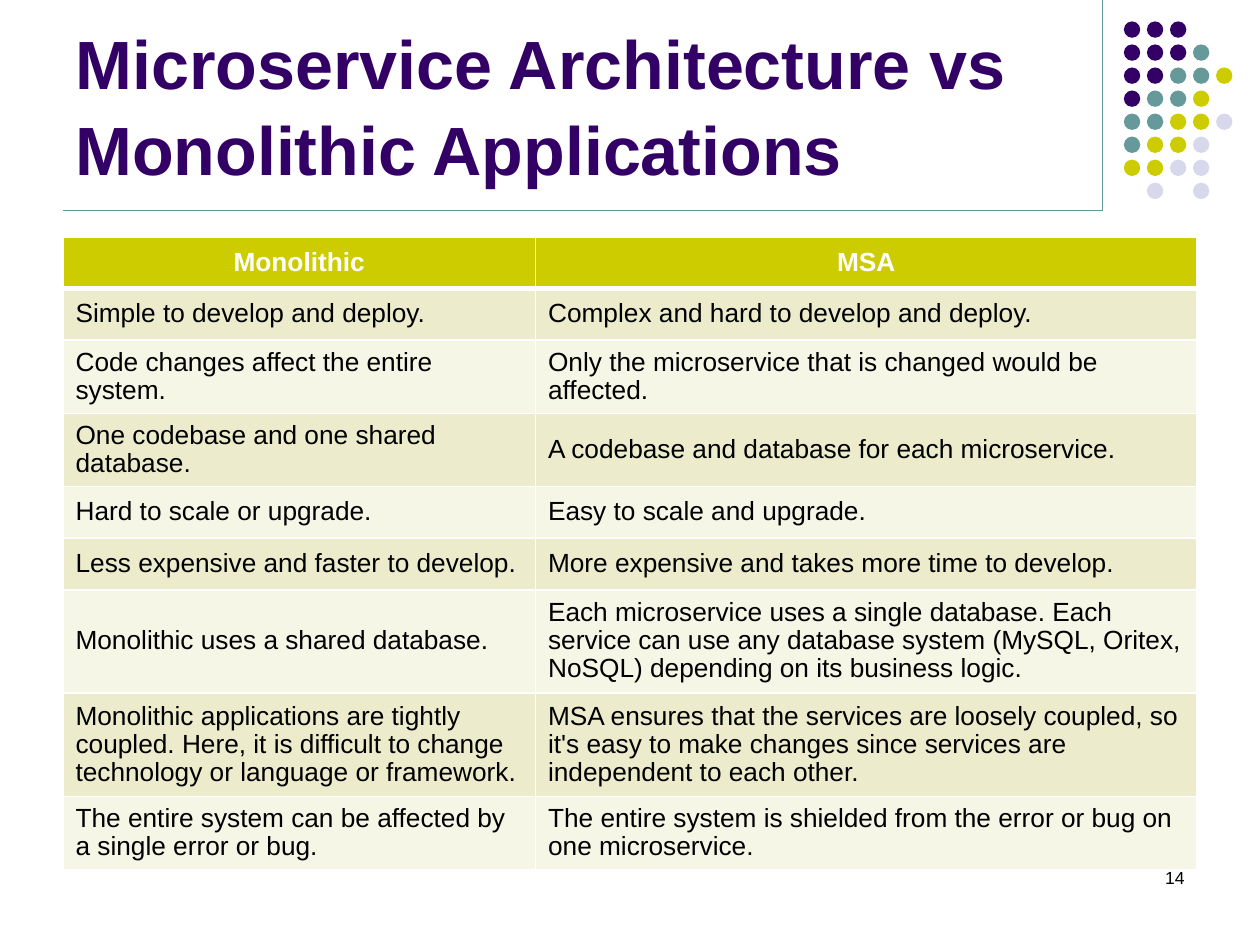
"""Build a slide comparing monolithic applications with microservice architecture."""
from dataclasses import dataclass

import pptx
import pptx.dml.color
import pptx.enum.shapes
import pptx.enum.text
import pptx.oxml.ns
import pptx.util
from lxml import etree

Inches = pptx.util.Inches
Pt = pptx.util.Pt
RGBColor = pptx.dml.color.RGBColor
PP_ALIGN = pptx.enum.text.PP_ALIGN
MSO_ANCHOR = pptx.enum.text.MSO_ANCHOR
qn = pptx.oxml.ns.qn

PURPLE = RGBColor(0x33, 0x00, 0x66)
TEAL = RGBColor(0x66, 0x99, 0x99)
LIME = RGBColor(0xCC, 0xCC, 0x00)
LILAC = RGBColor(0xD8, 0xD8, 0xEC)
BAND_DARK = RGBColor(0xEC, 0xEC, 0xCC)
BAND_LIGHT = RGBColor(0xF6, 0xF6, 0xE7)
WHITE = RGBColor(0xFF, 0xFF, 0xFF)
BLACK = RGBColor(0x00, 0x00, 0x00)

DOT_COLORS = {"P": PURPLE, "T": TEAL, "Y": LIME, "L": LILAC}
DOT_ROWS = ("PPP", "PPPT", "PPTTY", "PTTY", "TTYYL", "TYYL", "YYLL", " L L")
DOT_LEFT, DOT_TOP, DOT_SIZE = 8.92, 0.17, 0.13
DOT_PITCH = 1.28 / 7

COLUMN_WIDTHS = (3.75, 5.25)
ROW_HEIGHT = 0.41


@dataclass(frozen=True)
class Comparison:
    monolithic: str
    msa: str


@dataclass(frozen=True)
class Rule:
    x1: float
    y1: float
    x2: float
    y2: float


@dataclass(frozen=True)
class TextStyle:
    size: float
    color: RGBColor
    bold: bool = False
    align: PP_ALIGN = PP_ALIGN.LEFT
    spacing: float = 1.0


@dataclass(frozen=True)
class Label:
    text: str
    left: float
    top: float
    width: float
    height: float
    style: TextStyle
    anchor: MSO_ANCHOR = MSO_ANCHOR.TOP


HEADER_STYLE = TextStyle(15, WHITE, True, PP_ALIGN.CENTER, 0.96)
BODY_STYLE = TextStyle(15, BLACK, spacing=0.96)

RULES = (Rule(8.75, 0, 8.75, 1.67), Rule(0.5, 1.67, 8.75, 1.67))

LABELS = (
    Label("Microservice Architecture vs Monolithic Applications", 0.5, 0.13, 8.25, 1.42,
          TextStyle(39, PURPLE, True, spacing=1.05), MSO_ANCHOR.BOTTOM),
    Label("14", 7.17, 6.83, 2.33, 0.5, TextStyle(10, BLACK, align=PP_ALIGN.RIGHT)),
)

COMPARISONS = (
    Comparison("Monolithic", "MSA"),
    Comparison("Simple to develop and deploy.", "Complex and hard to develop and deploy."),
    Comparison("Code changes affect the entire system.",
               "Only the microservice that is changed would be affected."),
    Comparison("One codebase and one shared database.",
               "A codebase and database for each microservice."),
    Comparison("Hard to scale or upgrade.", "Easy to scale and upgrade."),
    Comparison("Less expensive and faster to develop.",
               "More expensive and takes more time to develop."),
    Comparison("Monolithic uses a shared database.",
               "Each microservice uses a single database. Each service can use any database "
               "system (MySQL, Oritex, NoSQL) depending on its business logic."),
    Comparison("Monolithic applications are tightly coupled. Here, it is difficult to change "
               "technology or language or framework.",
               "MSA ensures that the services are loosely coupled, so it's easy to make "
               "changes since services are independent to each other."),
    Comparison("The entire system can be affected by a single error or bug.",
               "The entire system is shielded from the error or bug on one microservice."),
)


def write_text(tf, text: str, style: TextStyle) -> None:
    p = tf.paragraphs[0]
    p.text = text
    p.alignment = style.align
    p.line_spacing = style.spacing
    p.font.name = "Arial"
    p.font.size = Pt(style.size)
    p.font.bold = style.bold
    p.font.color.rgb = style.color


def add_rule(s, rule: Rule) -> None:
    line = s.shapes.add_connector(
        pptx.enum.shapes.MSO_CONNECTOR.STRAIGHT,
        Inches(rule.x1), Inches(rule.y1), Inches(rule.x2), Inches(rule.y2))
    line.line.color.rgb = TEAL
    line.line.width = Pt(0.75)
    etree.SubElement(line._element.spPr, qn("a:effectLst"))


def add_dot(s, left: float, top: float, color: RGBColor) -> None:
    sp = s.shapes.add_shape(
        pptx.enum.shapes.MSO_SHAPE.OVAL,
        Inches(left), Inches(top), Inches(DOT_SIZE), Inches(DOT_SIZE))
    sp.shadow.inherit = False
    sp.fill.solid()
    sp.fill.fore_color.rgb = color
    sp.line.fill.background()


def add_dots(s) -> None:
    for row, codes in enumerate(DOT_ROWS):
        for col, code in enumerate(codes):
            if code in DOT_COLORS:
                add_dot(s, DOT_LEFT + col * DOT_PITCH, DOT_TOP + row * DOT_PITCH,
                        DOT_COLORS[code])


def add_label(s, label: Label) -> None:
    sp = s.shapes.add_textbox(Inches(label.left), Inches(label.top),
                              Inches(label.width), Inches(label.height))
    tf = sp.text_frame
    tf.word_wrap = True
    tf.vertical_anchor = label.anchor
    write_text(tf, label.text, label.style)


def set_borders(cell, top: float, bottom: float) -> None:
    tc_pr = cell._tc.get_or_add_tcPr()
    for side, width in (("L", 1), ("R", 1), ("T", top), ("B", bottom)):
        ln = etree.SubElement(tc_pr, qn(f"a:ln{side}"), w=str(Pt(width)))
        fill = etree.SubElement(ln, qn("a:solidFill"))
        etree.SubElement(fill, qn("a:srgbClr"), val=str(WHITE))


def add_comparison_table(s) -> None:
    table = s.shapes.add_table(
        len(COMPARISONS), len(COLUMN_WIDTHS), Inches(0.5), Inches(1.88),
        Inches(sum(COLUMN_WIDTHS)), Inches(ROW_HEIGHT * len(COMPARISONS))).table
    for column, width in zip(table.columns, COLUMN_WIDTHS):
        column.width = Inches(width)
    for i, comparison in enumerate(COMPARISONS):
        table.rows[i].height = Inches(ROW_HEIGHT)
        band = LIME if i == 0 else BAND_DARK if i % 2 else BAND_LIGHT
        for j, text in enumerate((comparison.monolithic, comparison.msa)):
            cell = table.cell(i, j)
            set_borders(cell, top=3 if i == 1 else 1, bottom=3 if i == 0 else 1)
            cell.fill.solid()
            cell.fill.fore_color.rgb = band
            cell.vertical_anchor = MSO_ANCHOR.MIDDLE
            write_text(cell.text_frame, text, BODY_STYLE if i else HEADER_STYLE)


def main() -> None:
    prs = pptx.Presentation()
    prs.slide_width, prs.slide_height = Inches(10), Inches(7.5)
    s = prs.slides.add_slide(prs.slide_layouts[6])
    for rule in RULES:
        add_rule(s, rule)
    add_dots(s)
    for label in LABELS:
        add_label(s, label)
    add_comparison_table(s)
    prs.save("out.pptx")


if __name__ == "__main__":
    main()
